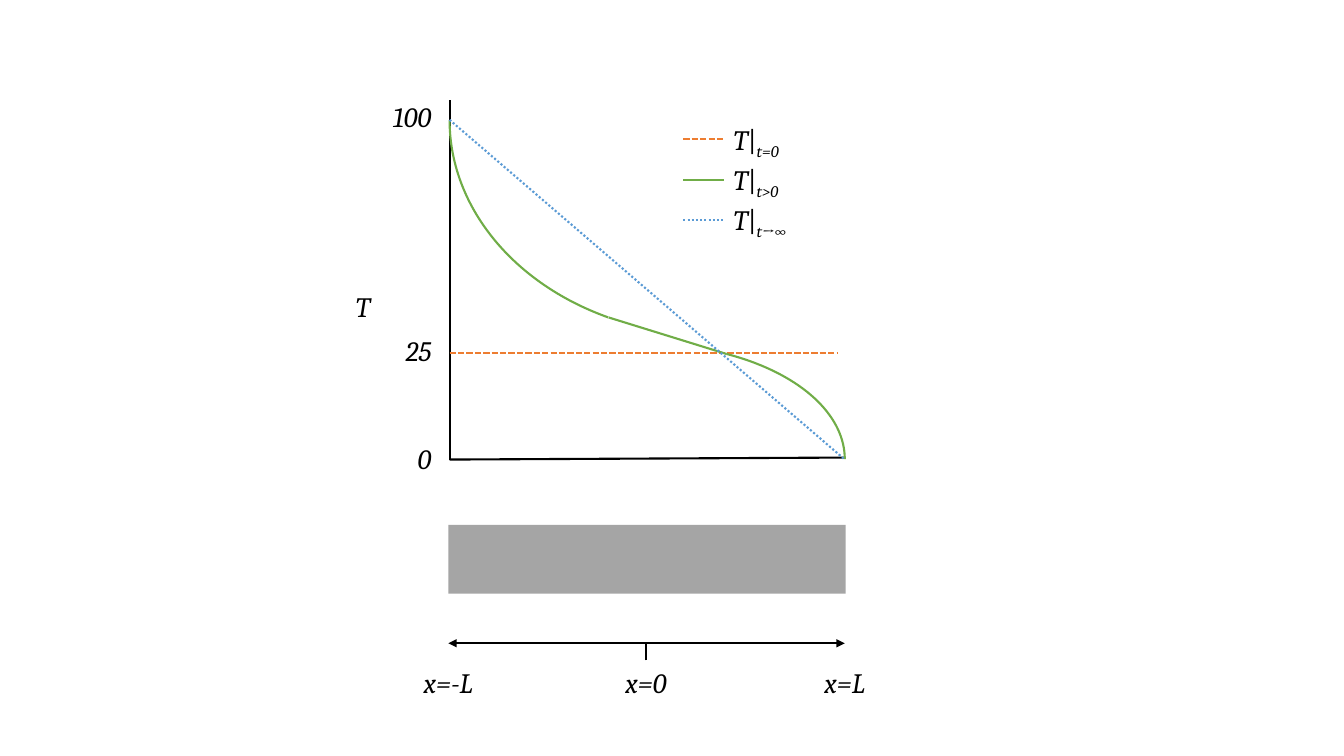
from dataclasses import dataclass

from lxml import etree
from pptx import Presentation
from pptx.dml.color import RGBColor
from pptx.enum.dml import MSO_LINE
from pptx.enum.shapes import MSO_CONNECTOR, MSO_SHAPE
from pptx.enum.text import MSO_AUTO_SIZE, PP_ALIGN
from pptx.oxml.ns import qn
from pptx.util import Cm, Pt

STRAIGHT = MSO_CONNECTOR.STRAIGHT
RECT, ARC = MSO_SHAPE.RECTANGLE, MSO_SHAPE.ARC
DASH, DOT = MSO_LINE.SQUARE_DOT, MSO_LINE.ROUND_DOT
LEFT, MID, RIGHT = PP_ALIGN.LEFT, PP_ALIGN.CENTER, PP_ALIGN.RIGHT
FIT = MSO_AUTO_SIZE.SHAPE_TO_FIT_TEXT


@dataclass(frozen=True)
class Theme:
    ink: str = "000000"
    start: str = "ED7D31"
    later: str = "70AD47"
    steady: str = "5B9BD5"
    bar: str = "A5A5A5"
    font: str = "Cambria"
    size: float = 20
    line: float = 1.5


THEME = Theme()
# Plot frame and label box, in centimetres
X0, X1 = 11.33, 21.29
TOP, HOT, BASE = 2.51, 3.02, 11.58
WARM = 8.89
BOX_W, BOX_H = 3.12, 1.12


def style(line, color, dash=None):
    line.color.rgb = RGBColor.from_string(color)
    line.width = Pt(THEME.line)
    if dash:
        line.dash_style = dash


def add_line(slide, x1, y1, x2, y2, color=THEME.ink, dash=None, heads=False):
    link = slide.shapes.add_connector(STRAIGHT, Cm(x1), Cm(y1), Cm(x2), Cm(y2))
    style(link.line, color, dash)
    props = link._element.spPr
    if heads:
        ln = props.find(qn("a:ln"))
        for end in ("a:headEnd", "a:tailEnd"):
            etree.SubElement(ln, qn(end), type="triangle")
    etree.SubElement(props, qn("a:effectLst"))


def add_arc(slide, x, y, w, h, start, turn=0):
    arc = slide.shapes.add_shape(ARC, Cm(x), Cm(y), Cm(w), Cm(h))
    arc.adjustments[0] = start
    arc.adjustments[1] = 0
    arc.rotation = turn
    arc.shadow.inherit = False
    arc.fill.background()
    style(arc.line, THEME.later)


def add_bar(slide, x, y, w, h):
    bar = slide.shapes.add_shape(RECT, Cm(x), Cm(y), Cm(w), Cm(h))
    bar.shadow.inherit = False
    bar.fill.solid()
    bar.fill.fore_color.rgb = RGBColor.from_string(THEME.bar)
    bar.line.fill.background()


def add_run(para, text, slant=True, sub=False):
    run = para.add_run()
    run.text = text
    run.font.name = THEME.font
    run.font.size = Pt(THEME.size)
    run.font.italic = slant
    run.font.color.rgb = RGBColor.from_string(THEME.ink)
    if sub:
        run._r.get_or_add_rPr().set("baseline", "-25000")


def add_label(slide, x, y, text, align, sub=None):
    box = slide.shapes.add_textbox(Cm(x), Cm(y), Cm(BOX_W), Cm(BOX_H))
    frame = box.text_frame
    frame.word_wrap = True
    frame.auto_size = FIT
    para = frame.paragraphs[0]
    para.alignment = align
    add_run(para, text)
    if sub:
        add_run(para, "|", slant=False)
        add_run(para, sub, sub=True)


def add_scale(slide):
    y, mid = 16.21, (X0 + X1) / 2 - 0.03
    add_line(slide, 11.3, y, X1, y, heads=True)
    add_line(slide, mid, 16.64, mid, y)
    for x, text in ((11.3, "x=-L"), (mid, "x=0"), (X1, "x=L")):
        add_label(slide, x - BOX_W / 2, 16.64, text, MID)


def add_axes(slide):
    add_line(slide, X0, BASE, X0, TOP)
    add_line(slide, X0, BASE, X1, 11.53)
    add_label(slide, 7.59, 7.16, "T", MID)
    for y, text in ((11, "0"), (8.28, "25"), (2.39, "100")):
        add_label(slide, 8, y, text, RIGHT)


def add_curves(slide):
    add_line(slide, X0, WARM, 21.13, WARM, THEME.start, DASH)
    # Transient profile: two arcs joined by a straight part
    add_line(slide, 15.34, 8, 18.31, 8.92, THEME.later)
    add_arc(slide, X0, -2.41, 13.41, 10.87, 179.14, turn=180)
    add_arc(slide, 11.13, 8.66, 10.16, 5.82, 185.02)
    add_line(slide, X0, HOT, X1, BASE, THEME.steady, DOT)


def add_legend(slide):
    x1, x2 = 17.22, 18.24
    rows = (
        ("t=0", THEME.start, DASH),
        ("t>0", THEME.later, None),
        ("t→∞", THEME.steady, DOT),
    )
    for i, (sub, color, dash) in enumerate(rows):
        y = 3.51 + 1.02 * i
        add_line(slide, x1, y, x2, y, color, dash)
        add_label(slide, x2, y - BOX_H / 2, "T", LEFT, sub)


def main():
    deck = Presentation()
    deck.slide_width, deck.slide_height = Cm(33.87), Cm(19.05)
    slide = deck.slides.add_slide(deck.slide_layouts[6])
    # Rod and its length scale
    add_scale(slide)
    add_bar(slide, 11.3, 13.23, 10.01, 1.73)
    # Temperature plot
    add_axes(slide)
    add_curves(slide)
    add_legend(slide)
    deck.save("out.pptx")


if __name__ == "__main__":
    main()
